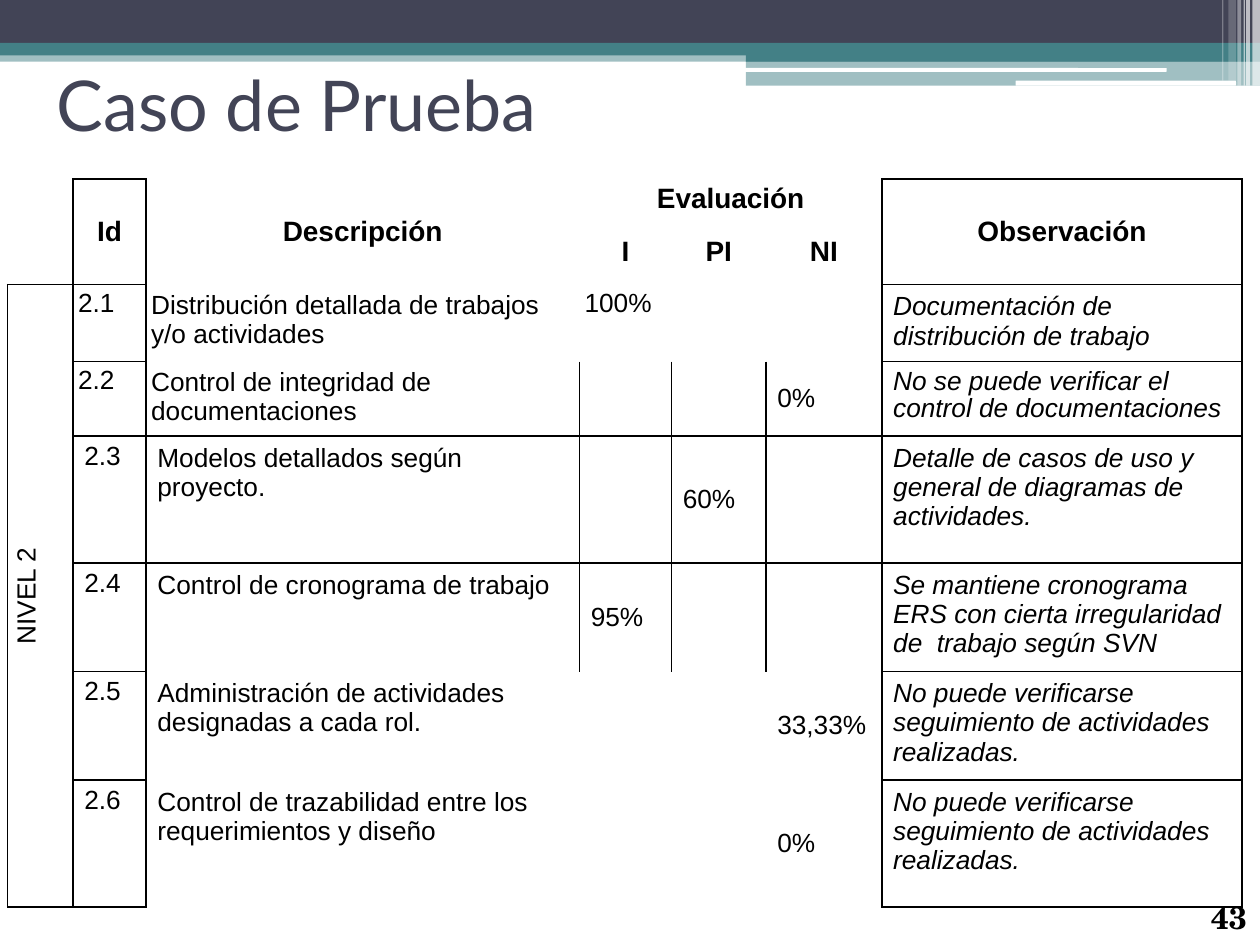
from lxml import etree
from pptx import Presentation
from pptx.dml.color import RGBColor
from pptx.enum.shapes import MSO_SHAPE as Kind
from pptx.enum.text import MSO_ANCHOR as Anchor, PP_ALIGN as Align
from pptx.oxml.ns import qn
from pptx.util import Inches, Pt

NAVY, TEAL, WHITE, BLACK = "424456", "438086", "FFFFFF", "000000"
COLS = [0.52, 0.58, 3.44, 0.73, 0.75, 0.92, 2.86]
ROWS = [0.42, 0.42, 0.56, 0.56, 1.01, 0.8, 0.8, 1.01]
CELLS = [
    ["", "Id", "Descripción", "Evaluación", "", "", "Observación"],
    ["", "", "", "I", "PI", "NI", ""],
    ["NIVEL 2", "2.1", "Distribución detallada de trabajos y/o actividades",
     "100%", "", "", "Documentación de distribución de trabajo"],
    ["", "2.2", "Control de integridad de documentaciones",
     "", "", "0%", "No se puede verificar el control de documentaciones"],
    ["", "2.3", "Modelos detallados según proyecto.", "", "60%", "",
     "Detalle de casos de uso y general de diagramas de actividades."],
    ["", "2.4", "Control de cronograma de trabajo", "95%", "", "",
     "Se mantiene cronograma ERS con cierta irregularidad de  trabajo según SVN"],
    ["", "2.5", "Administración de actividades designadas a cada rol.",
     "", "", "33,33%", "No puede verificarse seguimiento de actividades realizadas."],
    ["", "2.6", "Control de trazabilidad entre los requerimientos y diseño",
     "", "", "0%", "No puede verificarse seguimiento de actividades realizadas."],
]
SPANS = [(0, 1, 1, 1), (0, 2, 1, 2), (0, 3, 0, 5), (0, 6, 1, 6), (2, 0, 7, 0)]
MID_EDGES = {3: "LRB", 4: "LRTB", 5: "LRT"}
OPEN_EDGES = {2: "L", 3: "", 4: "", 5: "R"}


def paint(fmt, tone):
    """Give a fill or font format a hex colour."""
    target = fmt if hasattr(fmt, "name") else fmt.fore_color
    color = target.color if hasattr(fmt, "name") else target
    color.rgb = RGBColor.from_string(tone)


def write(frame, text, size, font="Arial", tone=BLACK, bold=False,
          italic=False, align=Align.LEFT, space=None):
    """Put one formatted paragraph in a text frame."""
    par = frame.paragraphs[0]
    par.alignment = align
    if space:
        par.line_spacing = space
    run = par.add_run()
    run.text = text
    run.font.name, run.font.size = font, Pt(size)
    run.font.bold, run.font.italic = bold, italic
    paint(run.font, tone)


def add_bar(slide, box, tone, alpha=100, kind=Kind.RECTANGLE):
    """Draw one plain bar of the banner."""
    bar = slide.shapes.add_shape(kind, *map(Inches, box))
    bar.shadow.inherit = False
    bar.line.fill.background()
    bar.fill.solid()
    paint(bar.fill, tone)
    if alpha < 100:
        clr = bar.fill._xPr.find(qn("a:solidFill"))[0]
        etree.SubElement(clr, qn("a:alpha")).set("val", str(alpha * 1000))


def add_banner(slide, left, top, width):
    """Draw the layered bands and the stripes at the right end."""
    for x, y, w, h, tone, alpha in [
            (0, 0.4, width, 0.09, TEAL, 50), (0, 0, width, 0.34, NAVY, 100),
            (0, 0.34, width, 0.1, TEAL, 100), (5.92, 0.39, 4.08, 0.1, TEAL, 100),
            (5.92, 0.48, 4.08, 0.2, TEAL, 50)]:
        add_bar(slide, (left + x, top + y, w, h), tone, alpha)
    for x, y, w, h in [(5.91, 0.54, 3.35, 0.03), (8.06, 0.64, 1.75, 0.04)]:
        add_bar(slide, (left + x, top + y, w, h), WHITE, kind=Kind.ROUNDED_RECTANGLE)
    for x, w, h, alpha in [
            (9.94, 0.06, 0.68, 65), (9.89, 0.03, 0.68, 65), (9.87, 0.01, 0.68, 60),
            (9.82, 0.03, 0.68, 40), (9.75, 0.06, 0.64, 20), (9.7, 0.01, 0.64, 30)]:
        add_bar(slide, (left + x, top, w, h), WHITE, alpha)


def add_label(slide, box, text, size, anchor=Anchor.TOP, wrap=True, top=0.04, **form):
    """Add a text box with one line."""
    frame = slide.shapes.add_textbox(*map(Inches, box)).text_frame
    frame.word_wrap, frame.vertical_anchor = wrap, anchor
    frame.margin_left = frame.margin_right = Inches(0.09)
    frame.margin_top, frame.margin_bottom = Inches(top), Inches(0.05)
    write(frame, text, size, **form)


def get_edges(row, col):
    """Name the sides of a cell that carry a full line."""
    if col == 0 and row < 2:
        return "RB"[:row + 1]
    if col in (0, 1, 6):
        return "LRTB"
    if row == 0 and col == 3:
        return "R"
    return MID_EDGES.get(row, OPEN_EDGES[col])


def set_edges(cell, edges, bare):
    """Draw full lines on the named sides and hairlines on the rest."""
    props = cell._tc.get_or_add_tcPr()
    for side in "LRTB":
        line = etree.SubElement(props, qn("a:ln" + side))
        line.set("w", str(Pt(1) if side in edges else Pt(0.03)))
        if bare and side not in edges:
            etree.SubElement(line, qn("a:noFill"))
        else:
            fill = etree.SubElement(line, qn("a:solidFill"))
            etree.SubElement(fill, qn("a:srgbClr")).set("val", BLACK)


def fill_cell(cell, row, col, text):
    """Set the margins, anchor and text of a cell by its place."""
    head, mark = row < 2, col in (3, 4, 5)
    tight = col < (6 if head else 4 if row < 4 else 0)
    cell.margin_left = cell.margin_right = Inches(0.04 if tight else 0.09)
    cell.margin_top = Inches(0.05 if tight or mark else 0.06)
    cell.margin_bottom = Inches(0.04 if tight else 0.05)
    middle = col == 0 or (mark and row > 2) or (row == 0 and not mark)
    cell.vertical_anchor = Anchor.MIDDLE if middle else Anchor.TOP
    if text:
        dense = head or col < 2 or (row, col) in [(2, 3), (3, 6)]
        write(cell.text_frame, text, 16 if head else 15, bold=head,
              italic=col == 6 and not head, space=0.93 if dense else None,
              align=Align.CENTER if head or col == 0 else Align.LEFT)


def add_grid(slide, left, top):
    """Add the table of test cases."""
    box = map(Inches, (left, top, sum(COLS), sum(ROWS)))
    grid = slide.shapes.add_table(len(ROWS), len(COLS), *box).table
    grid.first_row = grid.horz_banding = False
    for col, width in zip(grid.columns, COLS):
        col.width = Inches(width)
    for row, height in zip(grid.rows, ROWS):
        row.height = Inches(height)
    for r1, c1, r2, c2 in SPANS:
        grid.cell(r1, c1).merge(grid.cell(r2, c2))
    for r, texts in enumerate(CELLS):
        for c, text in enumerate(texts):
            cell = grid.cell(r, c)
            set_edges(cell, get_edges(r, c), c == 0 and r < 2)
            cell.fill.background()
            fill_cell(cell, r, c, text)
    grid.cell(2, 0)._tc.get_or_add_tcPr().set("vert", "vert270")


def main():
    """Build and save the slide."""
    deck = Presentation()
    deck.slide_width, deck.slide_height = Inches(10), Inches(7.5)
    slide = deck.slides.add_slide(deck.slide_layouts[6])
    add_banner(slide, 0, 0, 10)
    add_label(slide, (0.36, 0.13, 9.29, 1.39), "Caso de Prueba", 40,
              Anchor.MIDDLE, font="Lato", tone=NAVY)
    add_label(slide, (9.52, 7.07, 1.28, 0.43), "43", 18, wrap=False, top=0.06,
              font="TeX Gyre Schola", bold=True)
    add_grid(slide, 0.06, 1.42)
    deck.save("out.pptx")


if __name__ == "__main__":
    main()
